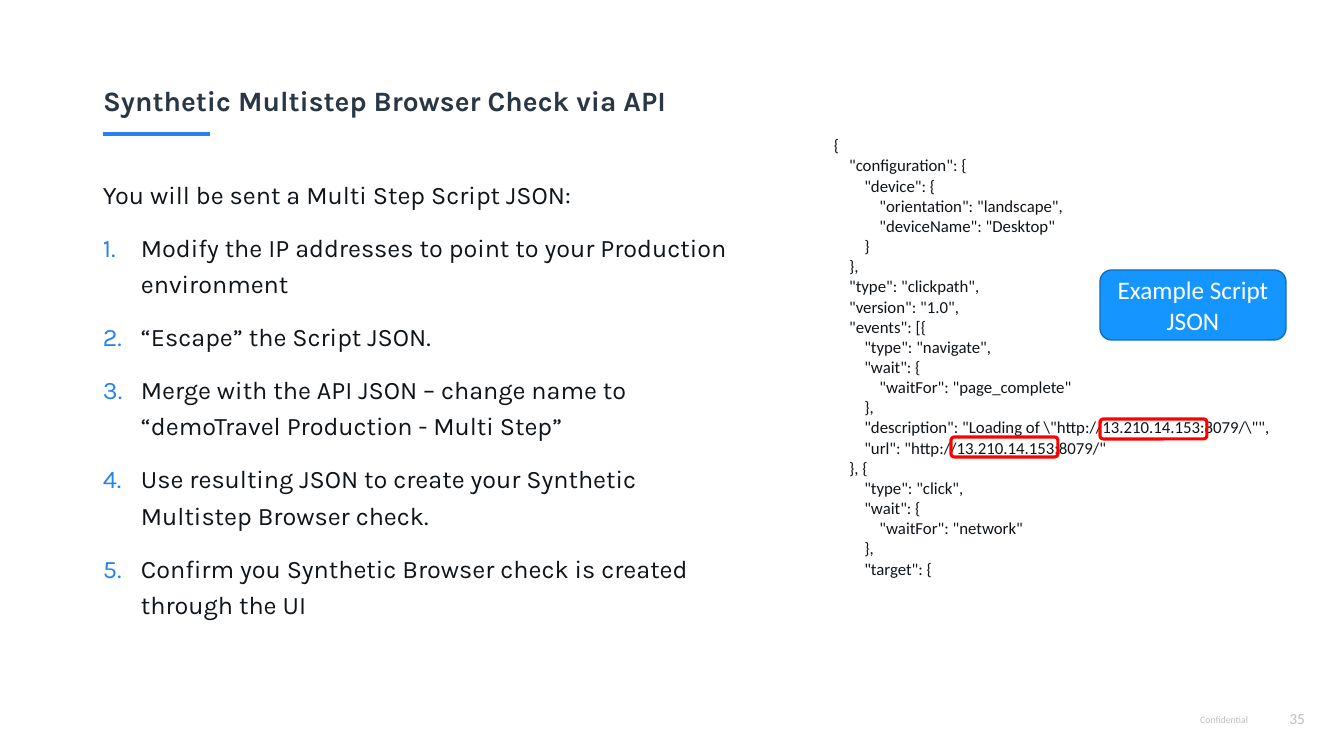
from lxml import etree
from pptx import Presentation
from pptx.dml.color import RGBColor
from pptx.enum.shapes import MSO_CONNECTOR as Connector, MSO_SHAPE as Shape
from pptx.enum.text import MSO_ANCHOR as Anchor, MSO_AUTO_SIZE as AutoSize, PP_ALIGN as Align
from pptx.oxml.ns import qn
from pptx.util import Emu, Pt

SCALE = 914400 / 100.8  # EMU per px
INK, NAVY, BLUE, GREY, RED, WHITE = "0F1419", "293745", "2583EE", "BFBFBF", "FF0000", "FFFFFF"

TITLE = "Synthetic Multistep Browser Check via API"
INTRO = "You will be sent a Multi Step Script JSON:"
STEPS = [
    "Modify the IP addresses to point to your Production environment",
    "“Escape” the Script JSON.",
    "Merge with the API JSON – change name to “demoTravel Production - Multi Step”",
    "Use resulting JSON to create your Synthetic Multistep Browser check.",
    "Confirm you Synthetic Browser check is created through the UI",
]
SCRIPT_JSON = r'''{
    "configuration": {
        "device": {
            "orientation": "landscape",
            "deviceName": "Desktop"
        }
    },
    "type": "clickpath",
    "version": "1.0",
    "events": [{
        "type": "navigate",
        "wait": {
            "waitFor": "page_complete"
        },
        "description": "Loading of \"http://13.210.14.153:8079/\"",
        "url": "http://13.210.14.153:8079/"
    }, {
        "type": "click",
        "wait": {
            "waitFor": "network"
        },
        "target": {'''


def px(length):
    return Emu(round(length * SCALE))


def color(code):
    return RGBColor.from_string(code)


def place(shape, box):
    shape.left, shape.top, shape.width, shape.height = map(px, box)


def add_span(para, text, font, size, ink, bold=False):
    span = para.add_run()
    span.text = text
    span.font.name, span.font.size, span.font.bold = font, Pt(size), bold
    span.font.color.rgb = color(ink)


def add_text_box(page, box):
    frame = page.shapes.add_textbox(*map(px, box)).text_frame
    frame.word_wrap = True
    return frame


def next_para(frame, first):
    return frame.paragraphs[0] if first else frame.add_paragraph()


def indent(para, left, hanging=0):
    props = para._p.get_or_add_pPr()
    props.set("marL", str(px(left)))
    props.set("indent", str(-px(hanging)))
    return props


def number(para):
    props = indent(para, 38, 38)
    bullet_color = etree.SubElement(props, qn("a:buClr"))
    etree.SubElement(bullet_color, qn("a:srgbClr"), val=BLUE)
    etree.SubElement(props, qn("a:buFont"), typeface="+mj-lt")
    etree.SubElement(props, qn("a:buAutoNum"), type="arabicPeriod")


def add_rounded(page, box, line, weight, fill=None):
    shape = page.shapes.add_shape(Shape.ROUNDED_RECTANGLE, *map(px, box))
    shape.shadow.inherit = False
    shape.line.color.rgb, shape.line.width = color(line), Pt(weight)
    if fill:
        shape.fill.solid()
        shape.fill.fore_color.rgb = color(fill)
    else:
        shape.fill.background()
    return shape


def add_heading(page, box):
    left, top, width, height = box
    title = page.shapes.title
    place(title, box)
    frame = title.text_frame
    frame.auto_size, frame.vertical_anchor = AutoSize.NONE, Anchor.BOTTOM
    para = frame.paragraphs[0]
    para.alignment, para.line_spacing = Align.LEFT, 1.2
    add_span(para, TITLE, "Karla", 20, NAVY, True)
    # Accent rule under the title
    start, level = left + 10, top + height + 12
    rule = page.shapes.add_connector(
        Connector.STRAIGHT, px(start), px(level), px(start + 107), px(level))
    rule.line.color.rgb, rule.line.width = color(BLUE), Pt(2.25)
    etree.SubElement(rule._element.spPr, qn("a:effectLst"))


def add_steps(page, box):
    frame = add_text_box(page, box)
    for index, text in enumerate([INTRO] + STEPS):
        para = next_para(frame, index == 0)
        para.line_spacing, para.space_before = 1.2, Pt(12)
        if index:
            number(para)
        add_span(para, text, "Karla", 18, INK)


def add_script_panel(page, box):
    left, top = box[:2]
    frame = add_text_box(page, box)
    for index, line in enumerate(SCRIPT_JSON.splitlines()):
        text = line.lstrip()
        para = next_para(frame, index == 0)
        indent(para, (len(line) - len(text)) / 4 * 15.2)
        add_span(para, text, "Calibri", 12, INK)
    # Frames around the addresses to change
    for across, down in ((276, 289), (127, 307)):
        add_rounded(page, (left + across, top + down, 107, 20), RED, 2.25)
    # Label
    label = add_rounded(page, (left + 276, top + 140, 186, 70), "0F6EBD", 1, "1495FF")
    frame = label.text_frame
    frame.word_wrap, frame.vertical_anchor = True, Anchor.MIDDLE
    para = frame.paragraphs[0]
    para.alignment = Align.CENTER
    add_span(para, "Example Script JSON", "Calibri", 18, WHITE)


def add_footer(page, box):
    left, top, width, height = box
    for text, size, part in (
        ("Confidential", 7, (left, top + 6, 126, 23)),
        ("35", 11, (left + width - 40, top, 40, height)),
    ):
        para = add_text_box(page, part).paragraphs[0]
        para.alignment, para.line_spacing = Align.RIGHT, 1.2
        add_span(para, text, "Calibri", size, GREY)


def main():
    deck = Presentation()
    deck.slide_width, deck.slide_height = px(1344), px(756)
    page = deck.slides.add_slide(deck.slide_layouts[5])
    add_heading(page, (93, 40, 1159, 82))
    add_steps(page, (93, 168, 655, 513))
    add_script_panel(page, (824, 130, 511, 458))
    add_footer(page, (1132, 700, 183, 31))
    deck.save("out.pptx")


if __name__ == "__main__":
    main()
